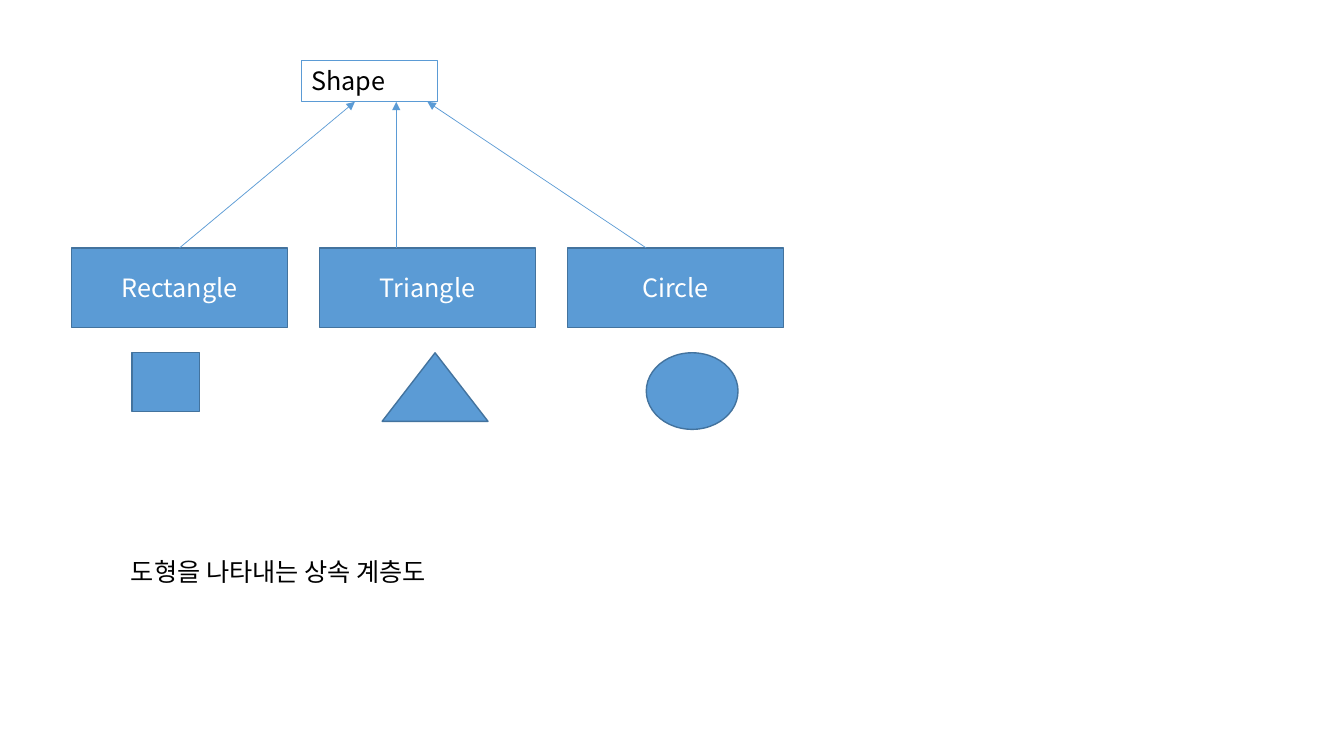
import pptx
import pptx.util
import pptx.dml.color
import pptx.enum.shapes
import pptx.enum.text
import pptx.oxml.ns
import lxml.etree

Inches = pptx.util.Inches
RGBColor = pptx.dml.color.RGBColor
KIND = pptx.enum.shapes.MSO_SHAPE
ALIGN = pptx.enum.text.PP_ALIGN
ANCHOR = pptx.enum.text.MSO_ANCHOR

BLUE = RGBColor(0x5B, 0x9B, 0xD5)
DARK_BLUE = RGBColor(0x43, 0x73, 0x9E)
BLACK = RGBColor(0, 0, 0)
WHITE = RGBColor(0xFF, 0xFF, 0xFF)
FONT = "Noto Sans CJK KR"


def add_figure(kind, bounds, fill=BLUE, outline=DARK_BLUE, weight=1):
    figure = page.shapes.add_shape(kind, *map(Inches, bounds))
    figure.shadow.inherit = False
    if fill is None:
        figure.fill.background()
    else:
        figure.fill.solid()
        figure.fill.fore_color.rgb = fill
    figure.line.color.rgb = outline
    figure.line.width = pptx.util.Pt(weight)
    return figure


def write_text(box, text, color, align=ALIGN.LEFT, anchor=ANCHOR.TOP):
    frame = box.text_frame
    frame.word_wrap = True
    frame.vertical_anchor = anchor
    para = frame.paragraphs[0]
    para.alignment = align
    span = para.add_run()
    span.text = text
    for name, value in {"size": pptx.util.Pt(18), "name": FONT}.items():
        setattr(span.font, name, value)
    span.font.color.rgb = color
    east_asian = lxml.etree.SubElement(span.font._element, pptx.oxml.ns.qn("a:ea"))
    east_asian.set("typeface", FONT)


deck = pptx.Presentation()
deck.slide_width = Inches(13.33)
deck.slide_height = Inches(7.5)
page = deck.slides.add_slide(deck.slide_layouts[6])

parent = add_figure(KIND.RECTANGLE, (2.99, 0.6, 1.35, 0.41), None, BLUE, 0.75)
write_text(parent, "Shape", BLACK)

child_left, child_top, child_pitch = 0.71, 2.46, 2.46
children = []
for index, name in enumerate(["Rectangle", "Triangle", "Circle"]):
    child = add_figure(
        KIND.RECTANGLE, (child_left + index * child_pitch, child_top, 2.14, 0.79)
    )
    write_text(child, name, WHITE, ALIGN.CENTER, ANCHOR.MIDDLE)
    children.append(child)

arrows = []
for start, end in [(1.78, 3.52), (3.93, 3.93), (6.41, 4.24)]:
    arrow = page.shapes.add_connector(
        pptx.enum.shapes.MSO_CONNECTOR.STRAIGHT,
        Inches(start), Inches(child_top), Inches(end), Inches(1.01),
    )
    arrow.line.color.rgb = BLUE
    arrow.line.width = pptx.util.Pt(0.5)
    outline = arrow.line._get_or_add_ln()
    head = lxml.etree.SubElement(outline, pptx.oxml.ns.qn("a:tailEnd"))
    head.set("type", "triangle")
    lxml.etree.SubElement(arrow._element.spPr, pptx.oxml.ns.qn("a:effectLst"))
    arrows.append(arrow)
arrows[0].begin_connect(children[0], 0)

for kind, left, width, height in [
    (KIND.RECTANGLE, 1.31, 0.67, 0.58),
    (KIND.OVAL, 6.41, 0.91, 0.76),
    (KIND.ISOSCELES_TRIANGLE, 3.79, 1.05, 0.68),
]:
    add_figure(kind, (left, 3.5, width, height))

caption = page.shapes.add_textbox(Inches(1.2), Inches(5.47), Inches(7.19), Inches(0.4))
write_text(caption, "도형을 나타내는 상속 계층도", BLACK)

deck.save("out.pptx")
